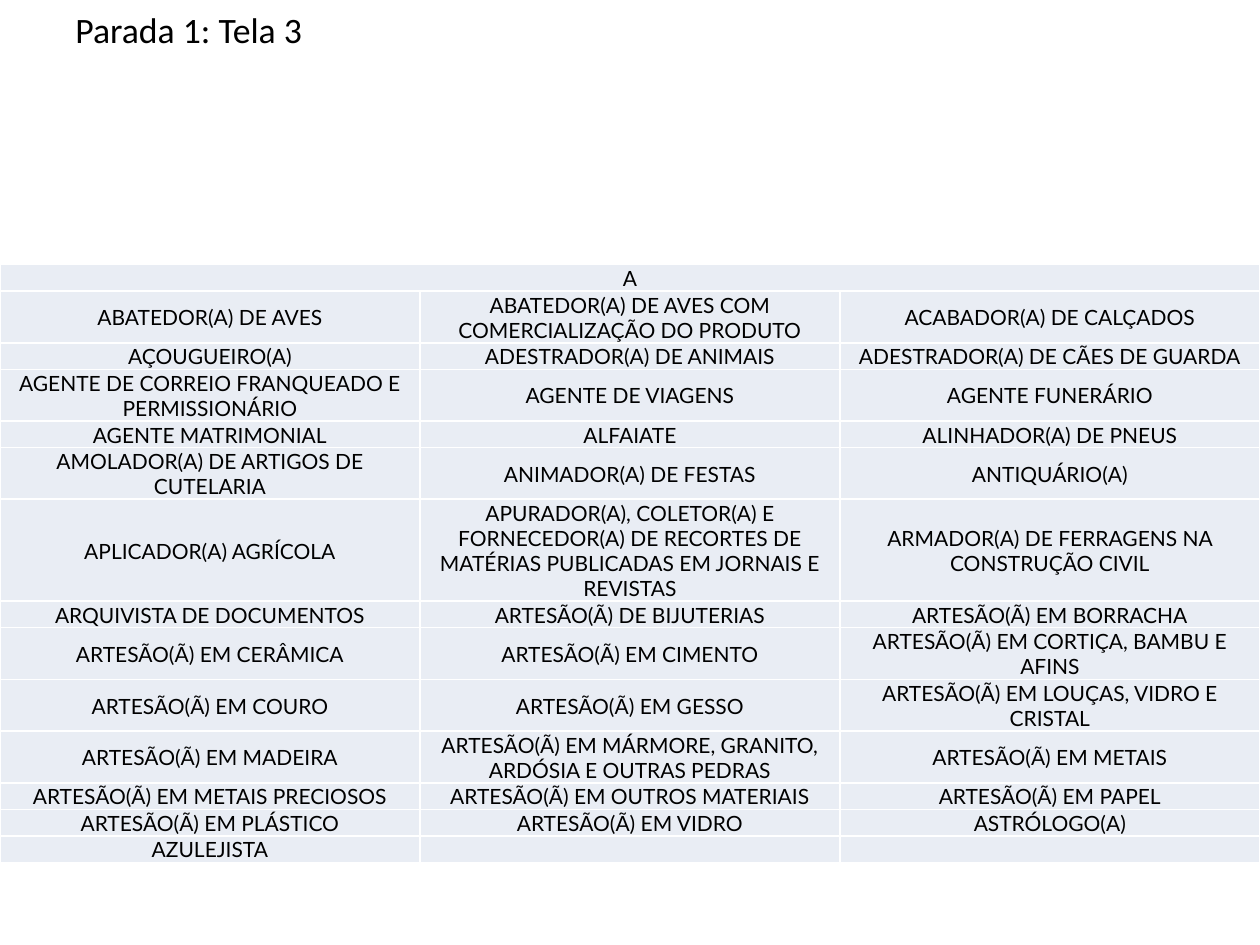
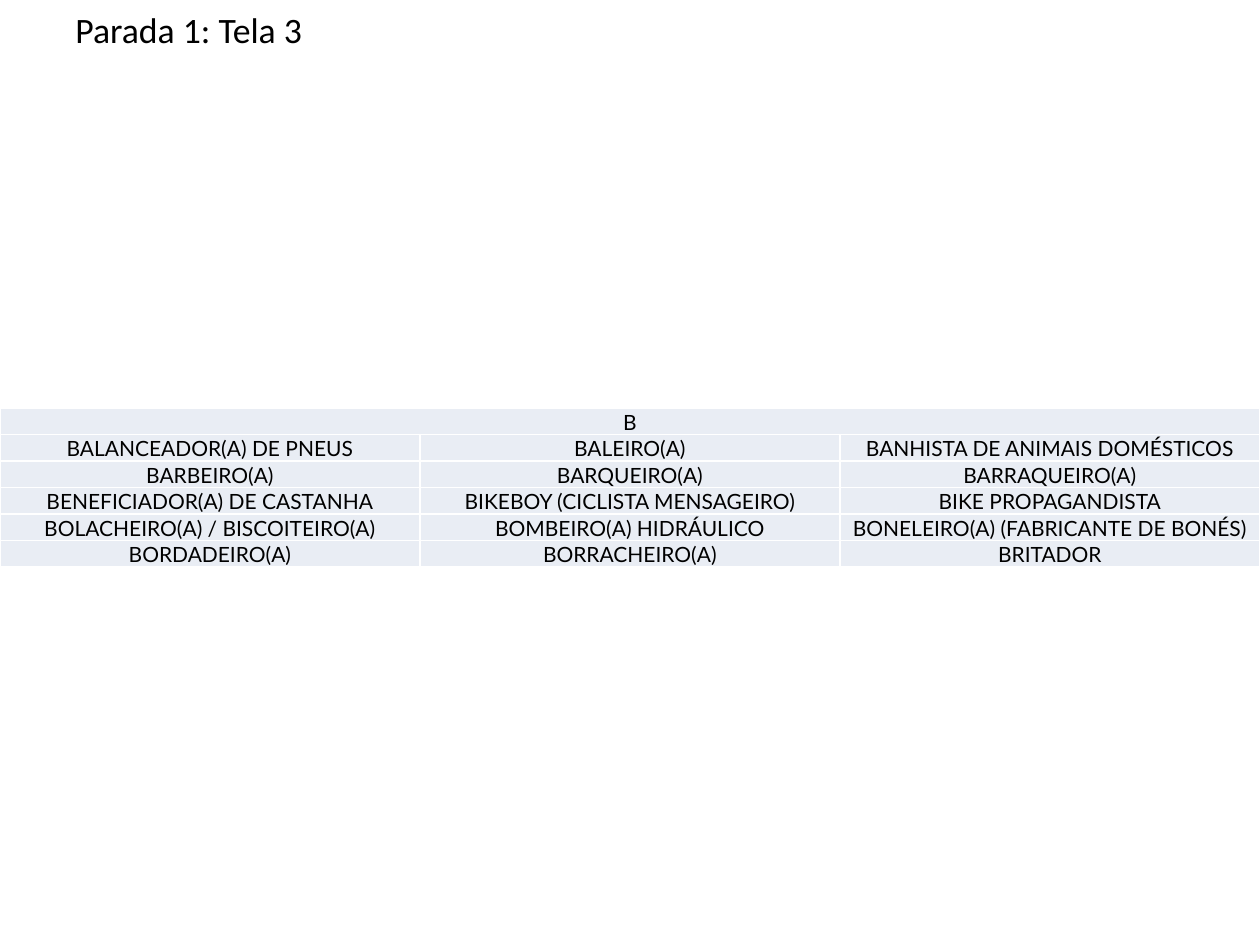
import pptx
import pptx.dml.color
import pptx.enum.text
import pptx.oxml
import pptx.oxml.ns
import pptx.util

COLORS = {"text": "000000", "cell": "E9EDF4", "border": "FFFFFF", "page": "FFFFFF"}
FONTS = {"title": "Calibri", "table": "Lato"}
GRID_COLUMNS = 10
GRID_ROWS = 7.5
TABLE_COLUMNS = 3
LINE_ROWS = 0.17

OCCUPATIONS_A = [
    "ABATEDOR(A) DE AVES", "ABATEDOR(A) DE AVES COM COMERCIALIZAÇÃO DO PRODUTO", "ACABADOR(A) DE CALÇADOS",
    "AÇOUGUEIRO(A)", "ADESTRADOR(A) DE ANIMAIS", "ADESTRADOR(A) DE CÃES DE GUARDA",
    "AGENTE DE CORREIO FRANQUEADO E PERMISSIONÁRIO", "AGENTE DE VIAGENS", "AGENTE FUNERÁRIO",
    "AGENTE MATRIMONIAL", "ALFAIATE", "ALINHADOR(A) DE PNEUS",
    "AMOLADOR(A) DE ARTIGOS DE CUTELARIA", "ANIMADOR(A) DE FESTAS", "ANTIQUÁRIO(A)",
    "APLICADOR(A) AGRÍCOLA",
    "APURADOR(A), COLETOR(A) E FORNECEDOR(A) DE RECORTES DE MATÉRIAS PUBLICADAS EM JORNAIS E REVISTAS",
    "ARMADOR(A) DE FERRAGENS NA CONSTRUÇÃO CIVIL",
    "ARQUIVISTA DE DOCUMENTOS", "ARTESÃO(Ã) DE BIJUTERIAS", "ARTESÃO(Ã) EM BORRACHA",
    "ARTESÃO(Ã) EM CERÂMICA", "ARTESÃO(Ã) EM CIMENTO", "ARTESÃO(Ã) EM CORTIÇA, BAMBU E AFINS",
    "ARTESÃO(Ã) EM COURO", "ARTESÃO(Ã) EM GESSO", "ARTESÃO(Ã) EM LOUÇAS, VIDRO E CRISTAL",
    "ARTESÃO(Ã) EM MADEIRA", "ARTESÃO(Ã) EM MÁRMORE, GRANITO, ARDÓSIA E OUTRAS PEDRAS", "ARTESÃO(Ã) EM METAIS",
    "ARTESÃO(Ã) EM METAIS PRECIOSOS", "ARTESÃO(Ã) EM OUTROS MATERIAIS", "ARTESÃO(Ã) EM PAPEL",
    "ARTESÃO(Ã) EM PLÁSTICO", "ARTESÃO(Ã) EM VIDRO", "ASTRÓLOGO(A)",
    "AZULEJISTA",
]

OCCUPATIONS_B = [
    "BALANCEADOR(A) DE PNEUS", "BALEIRO(A)", "BANHISTA DE ANIMAIS DOMÉSTICOS",
    "BARBEIRO(A)", "BARQUEIRO(A)", "BARRAQUEIRO(A)",
    "BENEFICIADOR(A) DE CASTANHA", "BIKEBOY (CICLISTA MENSAGEIRO)", "BIKE PROPAGANDISTA",
    "BOLACHEIRO(A) / BISCOITEIRO(A)", "BOMBEIRO(A) HIDRÁULICO", "BONELEIRO(A) (FABRICANTE DE BONÉS)",
    "BORDADEIRO(A)", "BORRACHEIRO(A)", "BRITADOR",
]


class OccupationDeck:
    def __init__(self):
        self.deck = pptx.Presentation()
        self.deck.slide_width = pptx.util.Inches(10)
        self.deck.slide_height = pptx.util.Inches(7.5)
        self.page = None

    def across(self, columns):
        return round(self.deck.slide_width * columns / GRID_COLUMNS)

    def down(self, rows):
        return round(self.deck.slide_height * rows / GRID_ROWS)

    def add_page(self):
        self.page = self.deck.slides.add_slide(self.deck.slide_layouts[6])
        background = self.page.background.fill
        background.solid()
        background.fore_color.rgb = pptx.dml.color.RGBColor.from_string(COLORS["page"])

    def set_text(self, para, text, font, size):
        para.text = text
        para.font.name = FONTS[font]
        para.font.size = pptx.util.Pt(size)
        para.font.color.rgb = pptx.dml.color.RGBColor.from_string(COLORS["text"])
        if not text:
            para._p.get_or_add_endParaRPr().set("sz", str(size * 100))

    def title(self, text):
        box = self.page.shapes.add_textbox(self.across(0.5), self.down(0.01), self.across(9), self.down(0.38))
        box.text_frame.word_wrap = True
        para = box.text_frame.paragraphs[0]
        self.set_text(para, text, "title", 20.4)
        para.space_before = pptx.util.Pt(4)

    def border(self, cell):
        properties = cell._tc.get_or_add_tcPr()
        for position, side in enumerate(("lnL", "lnR", "lnT", "lnB")):
            line = pptx.oxml.parse_xml(
                f'<a:{side} {pptx.oxml.ns.nsdecls("a")} w="12700"><a:solidFill>'
                f'<a:srgbClr val="{COLORS["border"]}"/></a:solidFill></a:{side}>'
            )
            properties.insert(position, line)

    def cell(self, cell, text):
        cell.margin_left = cell.margin_right = cell.margin_top = pptx.util.Inches(0.01)
        cell.margin_bottom = 0
        cell.vertical_anchor = pptx.enum.text.MSO_ANCHOR.MIDDLE
        cell.fill.solid()
        cell.fill.fore_color.rgb = pptx.dml.color.RGBColor.from_string(COLORS["cell"])
        para = cell.text_frame.paragraphs[0]
        self.set_text(para, text, "table", 12)
        para.alignment = pptx.enum.text.PP_ALIGN.CENTER
        self.border(cell)

    def table(self, letter, occupations, top, height, tall_rows):
        row_count = 1 + -(-len(occupations) // TABLE_COLUMNS)
        frame = self.page.shapes.add_table(
            row_count, TABLE_COLUMNS, 0, self.down(top), self.across(GRID_COLUMNS), self.down(height)
        )
        table = frame.table
        table.first_row = table.horz_banding = False
        for index, row in enumerate(table.rows):
            row.height = self.down(LINE_ROWS * tall_rows.get(index, 1))
        frame.height = self.down(height)
        header = [letter] + [""] * (TABLE_COLUMNS - 1)
        padding = [""] * ((row_count - 1) * TABLE_COLUMNS - len(occupations))
        for cell, text in zip(table.iter_cells(), header + occupations + padding):
            self.cell(cell, text)
        table.cell(0, 0).merge(table.cell(0, TABLE_COLUMNS - 1))


builder = OccupationDeck()
for letter, occupations, top, height, tall_rows in (
    ("A", OCCUPATIONS_A, 2.1, 3.88, {1: 2, 3: 2, 6: 3, 10: 2}),
    ("B", OCCUPATIONS_B, 3.24, 1.24, {}),
):
    builder.add_page()
    builder.title("Parada 1: Tela 3")
    builder.table(letter, occupations, top, height, tall_rows)
builder.deck.save("out.pptx")
